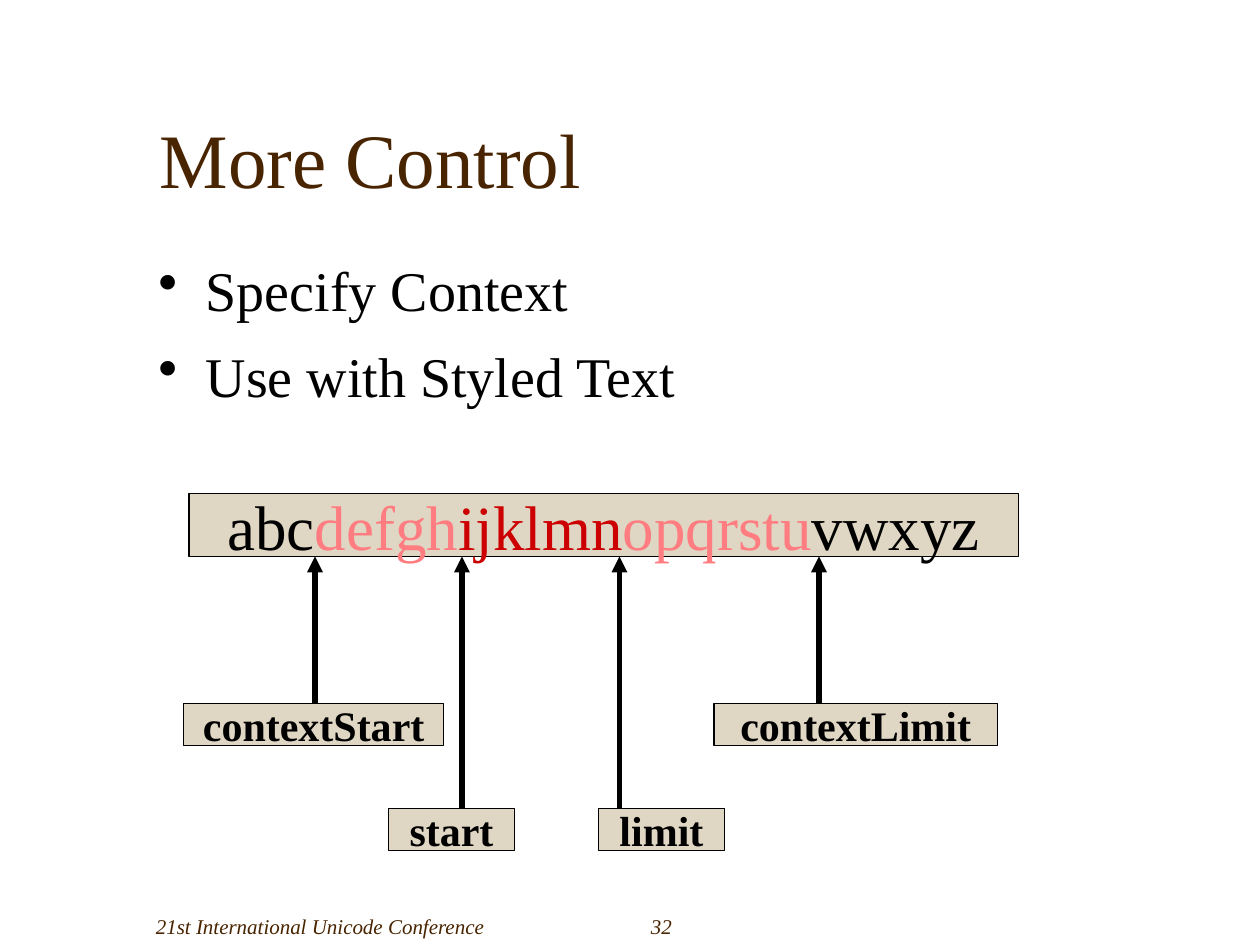
from dataclasses import dataclass

from lxml import etree
from pptx import Presentation
from pptx.dml.color import RGBColor
from pptx.enum.shapes import MSO_CONNECTOR, MSO_SHAPE
from pptx.enum.text import MSO_ANCHOR, MSO_AUTO_SIZE, PP_ALIGN
from pptx.oxml.ns import qn
from pptx.util import Pt

RECT = MSO_SHAPE.RECTANGLE
STRAIGHT = MSO_CONNECTOR.STRAIGHT
TOP, MIDDLE, BOTTOM = MSO_ANCHOR.TOP, MSO_ANCHOR.MIDDLE, MSO_ANCHOR.BOTTOM
LEFT, CENTER = PP_ALIGN.LEFT, PP_ALIGN.CENTER

FONT = "Times New Roman"
COLORS = {
    "brown": "482400",
    "black": "000000",
    "tan": "DFD6C3",
    "context": "FF7C80",
    "range": "CC0000",
}
STRIP_TOP, STRIP_HEIGHT = 282, 36
LABEL_HEIGHT = 24


@dataclass
class Marker:
    text: str
    left: float
    top: float
    width: float
    arrow_x: float


MARKERS = [
    Marker("contextStart", 105, 402, 148.5, 180),
    Marker("start", 222, 462, 72, 264),
    Marker("limit", 342, 462, 72, 354),
    Marker("contextLimit", 408, 402, 162, 468),
]
LETTERS = [
    ("abc", "black"),
    ("defgh", "context"),
    ("ijklmn", "range"),
    ("opqrstu", "context"),
    ("vwxyz", "black"),
]
BULLETS = ["Specify Context", "Use with Styled Text"]


def rgb(name: str) -> RGBColor:
    return RGBColor.from_string(COLORS[name])


def add_run(p, text: str, *, size: float, color: str = "black",
            bold: bool = False, italic: bool = False) -> None:
    r = p.add_run()
    r.text = text
    r.font.name = FONT
    r.font.size = Pt(size)
    r.font.bold = bold
    r.font.italic = italic
    r.font.color.rgb = rgb(color)


def set_frame(tf, *, anchor=TOP, align=LEFT, wrap: bool = True):
    tf.word_wrap = wrap
    tf.auto_size = MSO_AUTO_SIZE.NONE
    tf.vertical_anchor = anchor
    tf.margin_left = tf.margin_right = Pt(7.2)
    tf.margin_top = tf.margin_bottom = Pt(3.6)
    p = tf.paragraphs[0]
    p.alignment = align
    return p


def add_box(s, left: float, top: float, width: float, height: float):
    sp = s.shapes.add_shape(RECT, Pt(left), Pt(top), Pt(width), Pt(height))
    sp.shadow.inherit = False
    sp.fill.solid()
    sp.fill.fore_color.rgb = rgb("tan")
    sp.line.color.rgb = rgb("black")
    sp.line.width = Pt(0.75)
    return set_frame(sp.text_frame, anchor=MIDDLE, align=CENTER, wrap=False)


def add_arrow(s, x: float, start: float, end: float) -> None:
    sp = s.shapes.add_connector(STRAIGHT, Pt(x), Pt(start), Pt(x), Pt(end))
    sp.line.color.rgb = rgb("black")
    sp.line.width = Pt(3)
    etree.SubElement(sp.line._get_or_add_ln(), qn("a:tailEnd"), type="triangle")
    etree.SubElement(sp._element.spPr, qn("a:effectLst"))


def add_marker(s, m: Marker) -> None:
    p = add_box(s, m.left, m.top, m.width, LABEL_HEIGHT)
    add_run(p, m.text, size=24, bold=True)
    add_arrow(s, m.arrow_x, m.top, STRIP_TOP + STRIP_HEIGHT)


def add_bullets(s, items: list[str]) -> None:
    tf = s.shapes.add_textbox(Pt(83.5), Pt(139), Pt(612), Pt(324)).text_frame
    p = set_frame(tf)
    tf.margin_top = Pt(7)
    for i, text in enumerate(items):
        if i:
            p = tf.add_paragraph()
        p.space_after = Pt(10.5)
        pPr = p._p.get_or_add_pPr()
        pPr.set("marL", str(Pt(27)))
        pPr.set("indent", str(-Pt(27)))
        etree.SubElement(pPr, qn("a:buChar"), char="•")
        add_run(p, text, size=32)


def add_footer(s, text: str, left: float, width: float) -> None:
    sp = s.shapes.add_textbox(Pt(left), Pt(504), Pt(width), Pt(36))
    p = set_frame(sp.text_frame, anchor=BOTTOM, align=CENTER)
    add_run(p, text, size=12, color="brown", italic=True)


def main() -> None:
    prs = Presentation()
    prs.slide_width, prs.slide_height = Pt(720), Pt(540)
    s = prs.slides.add_slide(prs.slide_layouts[5])

    title = s.shapes.title
    title.left, title.top = Pt(84), Pt(30)
    title.width, title.height = Pt(612), Pt(90)
    p = set_frame(title.text_frame, anchor=BOTTOM)
    add_run(p, "More Control", size=44, color="brown")

    add_bullets(s, BULLETS)

    p = add_box(s, 108, STRIP_TOP, 474, STRIP_HEIGHT)
    for text, color in LETTERS:
        add_run(p, text, size=36, color=color)
    for m in MARKERS:
        add_marker(s, m)

    add_footer(s, "21st International Unicode Conference", 54, 258)
    add_footer(s, "32", 360, 36)
    prs.save("out.pptx")


if __name__ == "__main__":
    main()
